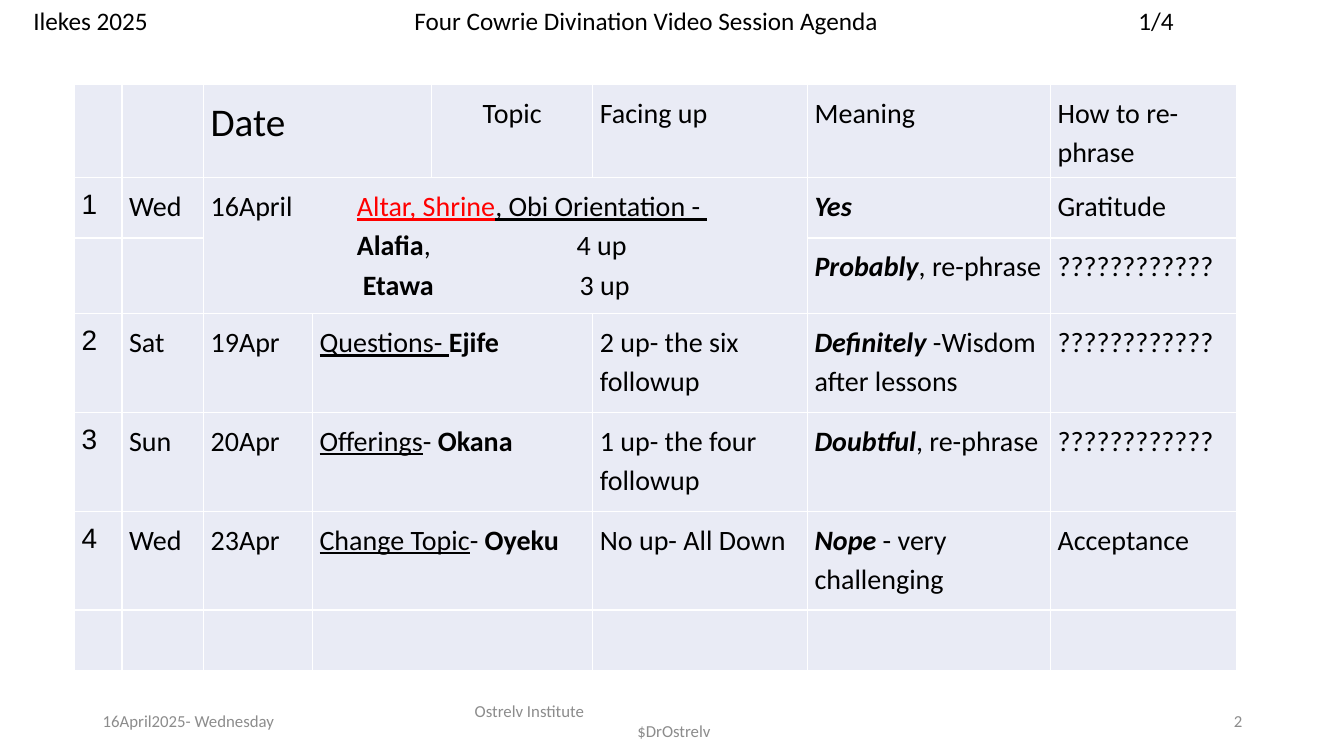
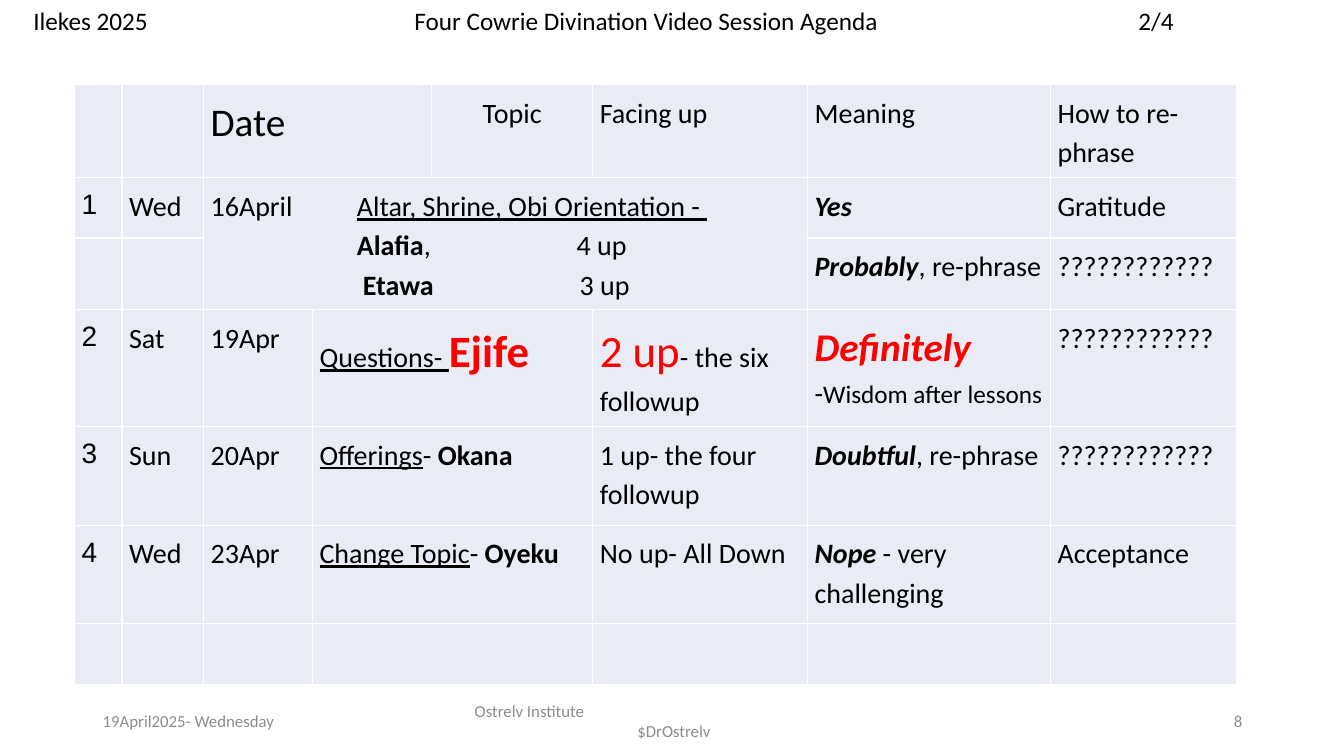
import pptx
import pptx.dml.color
import pptx.enum.text
import pptx.util
import lxml.etree

Inches = pptx.util.Inches
Pt = pptx.util.Pt
ALIGN = pptx.enum.text.PP_ALIGN
ANCHOR = pptx.enum.text.MSO_ANCHOR

COLORS = {"text": "000000", "alert": "FF0000", "footer": "8C8C8C", "cell": "E9EBF5"}

BASE = {"name": "Calibri", "size": Pt(20), "bold": False, "italic": False,
        "underline": False, "color": "text"}
STYLES = {
    "plain": {},
    "number": {"name": "Arial"},
    "under": {"underline": True},
    "under alert": {"underline": True, "color": "alert"},
    "bold": {"bold": True},
    "strong": {"bold": True, "italic": True},
    "heading": {"size": Pt(28)},
    "small": {"size": Pt(18)},
    "big name": {"size": Pt(32), "bold": True, "color": "alert"},
    "big count": {"size": Pt(32), "color": "alert"},
    "big strong": {"size": Pt(28), "bold": True, "italic": True, "color": "alert"},
    "footer": {"size": Pt(12), "color": "footer"},
}

COLUMN_WIDTHS = [0.47, 0.81, 1.08, 1.18, 1.6, 2.13, 2.41, 1.85]
UNKNOWN = "????????????"
ROWS = [
    ["", "", [("Date", "heading")], "", "Topic", "Facing up", "Meaning", "How to re-phrase"],
    [[("1", "number")], "Wed", "", "", "", "", [("Yes", "strong")], "Gratitude"],
    ["", "", "", "", "", "", [("Probably", "strong"), (", re-phrase", "plain")], UNKNOWN],
    [[("2", "number")], "Sat", "19Apr",
     [("Questions- ", "under"), ("Ejife", "bold")], "", "2 up- the six followup",
     [("Definitely", "strong"), (" -Wisdom after lessons", "plain")], UNKNOWN],
    [[("3", "number")], "Sun", "20Apr",
     [("Offerings", "under"), ("- ", "plain"), ("Okana", "bold")], "",
     "1 up- the four followup",
     [("Doubtful", "strong"), (", re-phrase", "plain")], UNKNOWN],
    [[("4", "number")], "Wed", "23Apr",
     [("Change Topic", "under"), ("- ", "plain"), ("Oyeku", "bold")], "",
     "No up- All Down",
     [("Nope", "strong"), (" - very challenging", "plain")], "Acceptance"],
    [""] * 8,
]
MERGES = [((0, 2), (0, 3)), ((1, 2), (2, 5))] + [((row, 3), (row, 4)) for row in range(3, 7)]
TOPIC_CELL = (0, 4)
ORIENTATION_CELL = (1, 2)
ORIENTATION_LINES = [
    ([("\t", "plain"), ("Alafia", "bold"), (",\t4 up", "plain")], [1.45, 3.63]),
    ([("\t", "plain"), ("Etawa", "bold"), ("\t3 up", "plain")], [1.51, 3.66]),
]

SLIDES = [
    {"date": "16April2025- Wednesday", "number": "2", "part": "1/4",
     "table_height": 5.79, "row_heights": [0.7, 0.6, 0.75, 0.98, 0.98, 0.98, 0.6],
     "altar": [("Altar, Shrine", "under alert"), (", Obi Orientation - ", "under")],
     "changes": {}},
    {"date": "19April2025- Wednesday", "number": "8", "part": "2/4",
     "table_height": 5.88, "row_heights": [0.7, 0.6, 0.55, 0.98, 0.98, 0.98, 0.6],
     "altar": [("Altar, Shrine, Obi Orientation - ", "under")],
     "changes": {
         (3, 3): [("Questions- ", "under"), ("Ejife", "big name")],
         (3, 5): [("2 up", "big count"), ("- the six followup", "plain")],
         (3, 6): [("Definitely ", "big strong"), ("-", "plain"),
                  ("Wisdom after lessons", "small")]}},
]


def rgb(name):
    return pptx.dml.color.RGBColor.from_string(COLORS[name])


def write_paragraph(paragraph, runs, tabs=(), **formats):
    for name, value in formats.items():
        setattr(paragraph, name, value)
    for text, style in runs:
        run = paragraph.add_run()
        run.text = text
        values = {**BASE, **STYLES[style]}
        run.font.color.rgb = rgb(values.pop("color"))
        for name, value in values.items():
            setattr(run.font, name, value)
    if tabs:
        properties = paragraph._p.get_or_add_pPr()
        namespace = "{" + properties.nsmap["a"] + "}"
        tab_list = lxml.etree.SubElement(properties, namespace + "tabLst")
        for position in tabs:
            lxml.etree.SubElement(tab_list, namespace + "tab",
                                  pos=str(Inches(position)), algn="l")


def add_header(slide, part):
    title = slide.shapes.title
    box = {"left": 0.23, "top": 0, "width": 12.84, "height": 0.4}
    for name, value in box.items():
        setattr(title, name, Inches(value))
    frame = title.text_frame
    formats = {"word_wrap": True, "vertical_anchor": ANCHOR.TOP,
               "auto_size": pptx.enum.text.MSO_AUTO_SIZE.NONE}
    for name, value in formats.items():
        setattr(frame, name, value)
    text = f"Ilekes 2025\tFour Cowrie Divination Video Session Agenda\t{part}"
    write_paragraph(frame.paragraphs[0], [(text, "small")], [3.78, 10.96],
                    alignment=ALIGN.LEFT)


def add_footer(slide, date, number):
    parts = [
        (0.92, 3, [(date, ALIGN.LEFT, 0)]),
        (4.42, 4.53, [("Ostrelv Institute", ALIGN.LEFT, 0.19), ("$DrOstrelv", ALIGN.CENTER, 0)]),
        (9.42, 3, [(number, ALIGN.RIGHT, 0)]),
    ]
    for left, width, lines in parts:
        shape = slide.shapes.add_textbox(Inches(left), Inches(6.95), Inches(width), Inches(0.4))
        frame = shape.text_frame
        frame.word_wrap = True
        frame.vertical_anchor = ANCHOR.MIDDLE
        for index, (text, alignment, indent) in enumerate(lines):
            paragraph = frame.add_paragraph() if index else frame.paragraphs[0]
            write_paragraph(paragraph, [(text, "footer")], alignment=alignment)
            if indent:
                paragraph._p.get_or_add_pPr().set("marL", str(Inches(indent)))


def add_agenda(slide, content):
    shape = slide.shapes.add_table(len(ROWS), len(COLUMN_WIDTHS), Inches(0.74), Inches(0.84),
                                   Inches(sum(COLUMN_WIDTHS)), Inches(content["table_height"]))
    table = shape.table
    table.first_row = False
    table.horz_banding = False
    for column, width in zip(table.columns, COLUMN_WIDTHS):
        column.width = Inches(width)
    for row, height in zip(table.rows, content["row_heights"]):
        row.height = Inches(height)
    shape.height = Inches(content["table_height"])
    for first, last in MERGES:
        table.cell(*first).merge(table.cell(*last))
    for row, values in enumerate(ROWS):
        for column, value in enumerate(values):
            cell = table.cell(row, column)
            cell.fill.solid()
            cell.fill.fore_color.rgb = rgb("cell")
            for side in ("left", "right", "top", "bottom"):
                setattr(cell, f"margin_{side}", Inches(0.07))
            value = content["changes"].get((row, column), value)
            if value:
                runs = [(value, "plain")] if isinstance(value, str) else value
                alignment = ALIGN.CENTER if (row, column) == TOPIC_CELL else ALIGN.LEFT
                write_paragraph(cell.text_frame.paragraphs[0], runs,
                                alignment=alignment, line_spacing=1.15)
    frame = table.cell(*ORIENTATION_CELL).text_frame
    first_line = ([("16April\t", "plain")] + content["altar"], [1.45])
    for index, (runs, tabs) in enumerate([first_line] + ORIENTATION_LINES):
        paragraph = frame.add_paragraph() if index else frame.paragraphs[0]
        write_paragraph(paragraph, runs, tabs, line_spacing=1.15)


def main():
    presentation = pptx.Presentation()
    presentation.slide_width = Inches(13.33)
    presentation.slide_height = Inches(7.5)
    for content in SLIDES:
        slide = presentation.slides.add_slide(presentation.slide_layouts[5])
        add_header(slide, content["part"])
        add_agenda(slide, content)
        add_footer(slide, content["date"], content["number"])
    presentation.save("out.pptx")


if __name__ == "__main__":
    main()
